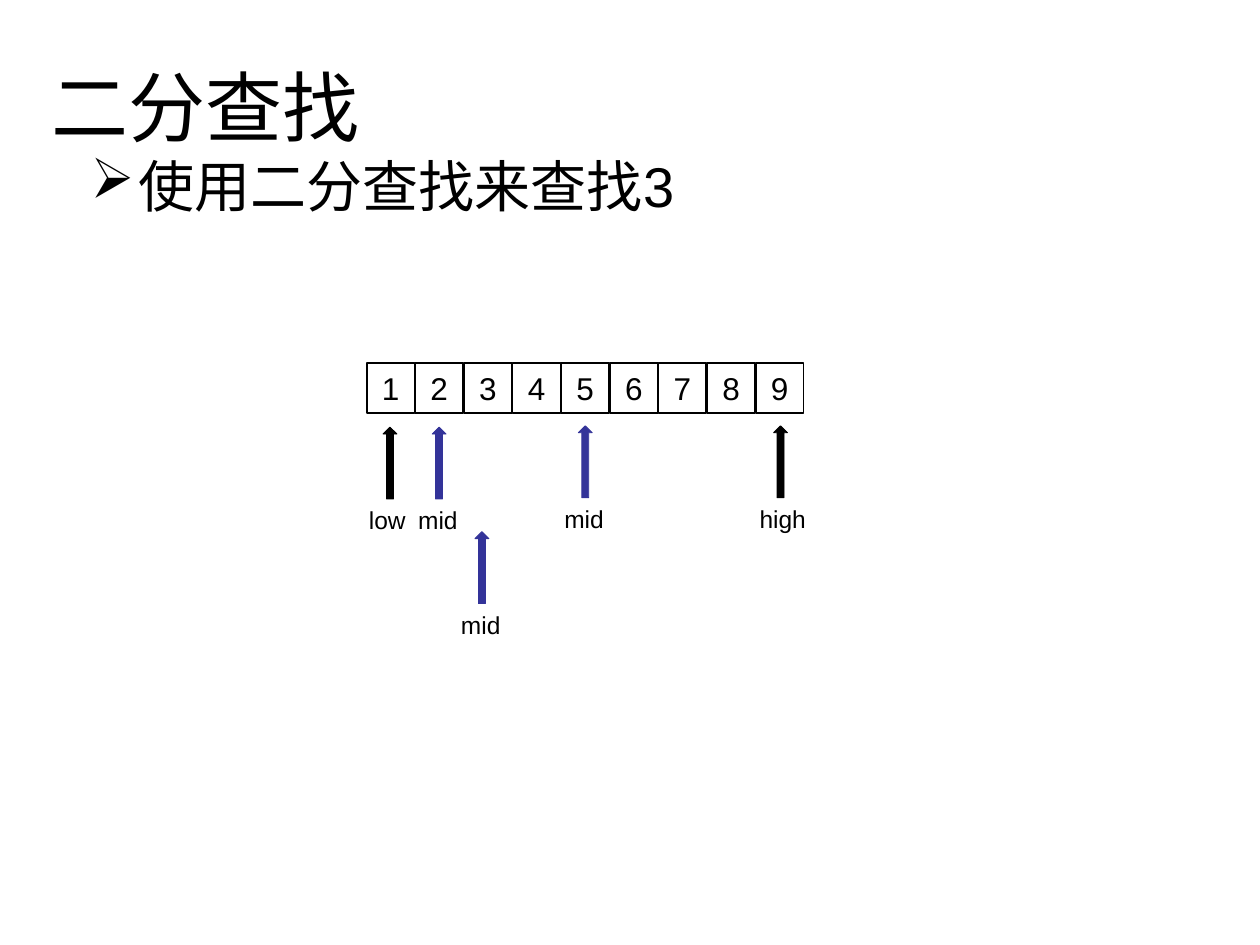
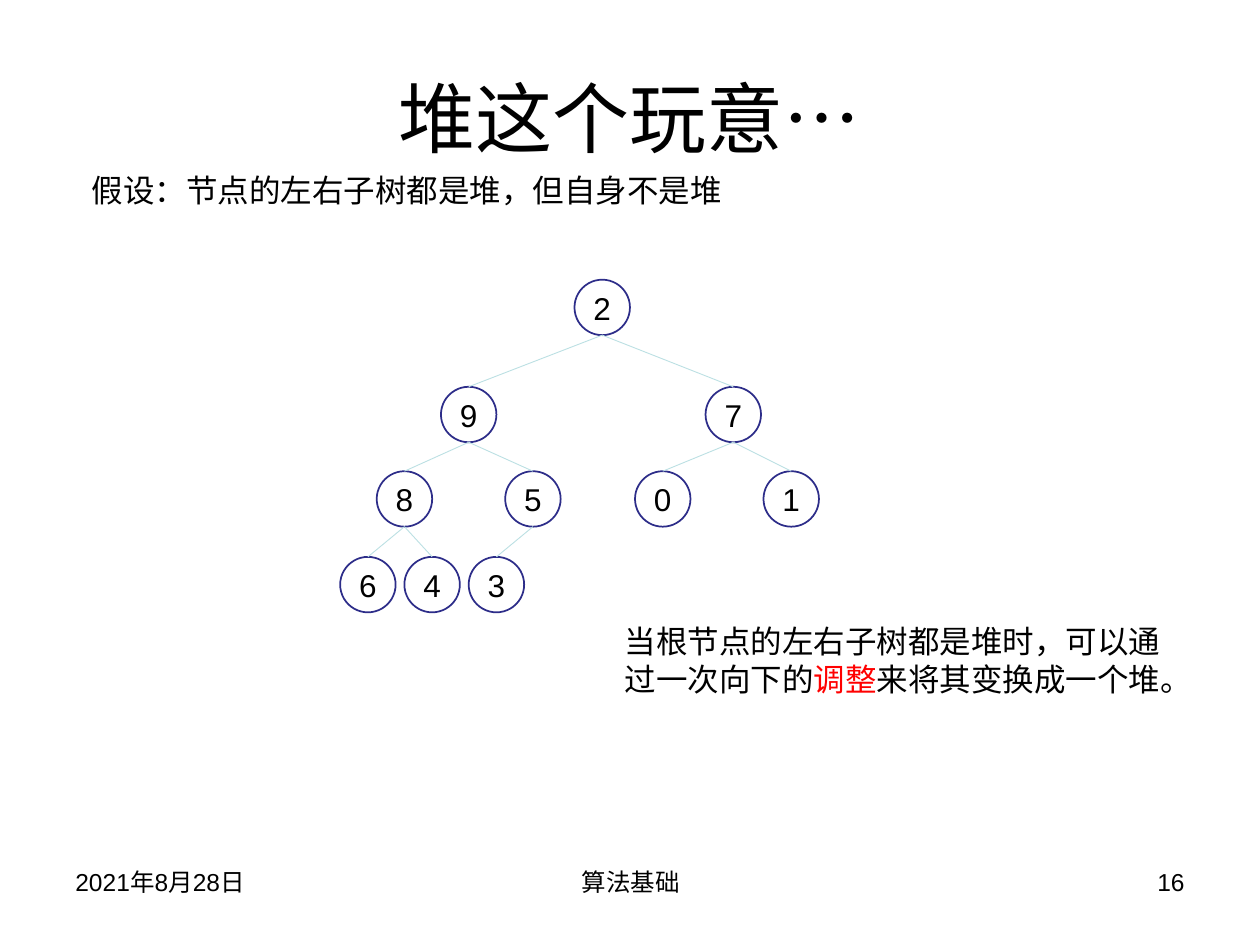
from typing import NamedTuple

from lxml import etree
from pptx import Presentation
from pptx.dml.color import RGBColor
from pptx.enum.shapes import MSO_CONNECTOR as CONN, MSO_SHAPE as SHAPE
from pptx.enum.text import MSO_ANCHOR as ANCHOR, PP_ALIGN as ALIGN
from pptx.oxml.ns import qn
from pptx.util import Inches, Pt

LATIN, CJK = "Arial", "Noto Sans CJK SC"
BLACK, WHITE, RED = "000000", "FFFFFF", "FF0000"
INDIGO, NAVY, PALE = "333399", "2D2D89", "BBE0E3"


class Box(NamedTuple):
    left: float
    top: float
    width: float
    height: float


class Run(NamedTuple):
    text: str
    color: str = BLACK


class Pointer(NamedTuple):
    label: str
    left: float
    top: float
    label_width: float
    color: str


class Footer(NamedTuple):
    text: str
    left: float
    width: float
    align: ALIGN


# Shared drawing
def rgb(color: str) -> RGBColor:
    return RGBColor.from_string(color)


def lengths(box: Box) -> list:
    return [Inches(v) for v in box]


def write(p, runs: list[Run], size: float, font: str = LATIN) -> None:
    for run in runs:
        r = p.add_run()
        r.text = run.text
        r.font.size = Pt(size)
        r.font.name = font
        r.font.color.rgb = rgb(run.color)
        ea = etree.Element(qn("a:ea"), typeface=CJK)
        r.font._element.find(qn("a:latin")).addnext(ea)


def add_text(shapes, box: Box, runs: list[Run], size: float,
             align: ALIGN = ALIGN.LEFT, anchor: ANCHOR = ANCHOR.TOP,
             font: str = LATIN):
    tf = shapes.add_textbox(*lengths(box)).text_frame
    tf.word_wrap = True
    tf.vertical_anchor = anchor
    p = tf.paragraphs[0]
    p.alignment = align
    write(p, runs, size, font)
    return p


def add_title(slide, text: str, box: Box) -> None:
    add_text(slide.shapes, box, [Run(text)], 44, ALIGN.CENTER, ANCHOR.MIDDLE)


def add_shape(shapes, kind: SHAPE, box: Box, fill: str, line: str,
              line_width: float, text: str = ""):
    sp = shapes.add_shape(kind, *lengths(box))
    sp.shadow.inherit = False
    sp.fill.solid()
    sp.fill.fore_color.rgb = rgb(fill)
    sp.line.color.rgb = rgb(line)
    sp.line.width = Pt(line_width)
    if text:
        tf = sp.text_frame
        tf.margin_left = tf.margin_right = tf.margin_top = tf.margin_bottom = 0
        tf.vertical_anchor = ANCHOR.MIDDLE
        tf.paragraphs[0].alignment = ALIGN.CENTER
        write(tf.paragraphs[0], [Run(text)], 18)
    return sp


def add_edge(shapes, start: tuple, end: tuple) -> None:
    cx = shapes.add_connector(CONN.STRAIGHT,
                              *[Inches(v) for v in (*start, *end)])
    cx.line.color.rgb = rgb(PALE)
    cx.line.width = Pt(0.5)
    etree.SubElement(cx._element.spPr, qn("a:effectLst"))


# Slide 1: binary search
ARRAY_LEFT, ARRAY_TOP, CELL_PITCH = 2.91, 2.88, 0.386
CELL_WIDTH, CELL_HEIGHT = 0.38, 0.4
ARROW_WIDTH, ARROW_HEIGHT = 0.11, 0.57
POINTERS = [
    Pointer("low", 3.04, 3.39, 0.53, BLACK),
    Pointer("high", 6.14, 3.38, 0.63, BLACK),
    Pointer("mid", 4.59, 3.38, 0.58, INDIGO),
    Pointer("mid", 3.43, 3.39, 0.58, INDIGO),
    Pointer("mid", 3.77, 4.22, 0.58, INDIGO),
]


def add_pointer(shapes, ptr: Pointer) -> None:
    group = shapes.add_group_shape().shapes
    arrow = Box(ptr.left, ptr.top, ARROW_WIDTH, ARROW_HEIGHT)
    add_shape(group, SHAPE.UP_ARROW, arrow, ptr.color, ptr.color, 0.5)
    label = Box(ptr.left - 0.21, ptr.top + ARROW_HEIGHT, ptr.label_width, 0.34)
    add_text(group, label, [Run(ptr.label)], 14)


def build_search(slide) -> None:
    add_title(slide, "二分查找", Box(0.22, 0.21, 2.83, 1.25))

    # Sorted array
    cells = slide.shapes.add_group_shape().shapes
    for i in range(9):
        cell = Box(ARRAY_LEFT + i * CELL_PITCH, ARRAY_TOP, CELL_WIDTH, CELL_HEIGHT)
        add_shape(cells, SHAPE.RECTANGLE, cell, WHITE, BLACK, 1, str(i + 1))
    for ptr in POINTERS:
        add_pointer(slide.shapes, ptr)

    # Bulleted task
    p = add_text(slide.shapes, Box(0.62, 1.15, 8.75, 5.43),
                 [Run("使用二分查找来查找3")], 32)
    pPr = p._p.get_or_add_pPr()
    pPr.set("marL", str(Inches(0.38)))
    pPr.set("indent", str(-Inches(0.38)))
    etree.SubElement(pPr, qn("a:buChar"), char="➢")


# Slide 2: heap
NODE = 0.44
LEVEL_TOPS = [2.22, 3.07, 3.74, 4.42]
LEVEL_LEFTS = [[4.56], [3.5, 5.6], [2.99, 4.01, 5.04, 6.06], [2.7, 3.21, 3.72]]
HEAP = [2, 9, 7, 8, 5, 0, 1, 6, 4, 3]
FOOTERS = [
    Footer("2021年8月28日", 0.5, 2.33, ALIGN.LEFT),
    Footer("算法基础", 3.42, 3.17, ALIGN.CENTER),
    Footer("16", 7.17, 2.33, ALIGN.RIGHT),
]


def add_heap(shapes) -> None:
    nodes = [Box(left, top, NODE, NODE)
             for top, lefts in zip(LEVEL_TOPS, LEVEL_LEFTS) for left in lefts]
    for value, node in zip(HEAP, nodes):
        add_shape(shapes, SHAPE.OVAL, node, WHITE, NAVY, 1, str(value))
    for i, child in enumerate(nodes[1:], 1):
        parent = nodes[(i - 1) // 2]
        add_edge(shapes, (parent.left + NODE / 2, parent.top + NODE),
                 (child.left + NODE / 2, child.top))


def build_heap(slide) -> None:
    add_title(slide, "堆这个玩意…", Box(0.5, 0.3, 9, 1.25))
    for f in FOOTERS:
        add_text(slide.shapes, Box(f.left, 6.83, f.width, 0.52),
                 [Run(f.text)], 14, f.align)
    add_heap(slide.shapes)
    add_text(slide.shapes, Box(0.63, 1.31, 5.41, 0.4),
             [Run("假设：节点的左右子树都是堆，但自身不是堆")], 18)
    p = add_text(slide.shapes, Box(4.86, 4.89, 4.47, 0.71), [
        Run("当根节点的左右子树都是堆时，可以通过一次向下的"),
        Run("调整", RED),
        Run("来将其变换成一个堆。"),
    ], 18, font=CJK)
    p.line_spacing = Pt(21.6)


def main() -> None:
    prs = Presentation()
    prs.slide_width, prs.slide_height = Inches(10), Inches(7.5)
    for build in (build_search, build_heap):
        build(prs.slides.add_slide(prs.slide_layouts[6]))
    prs.save("out.pptx")


if __name__ == "__main__":
    main()
